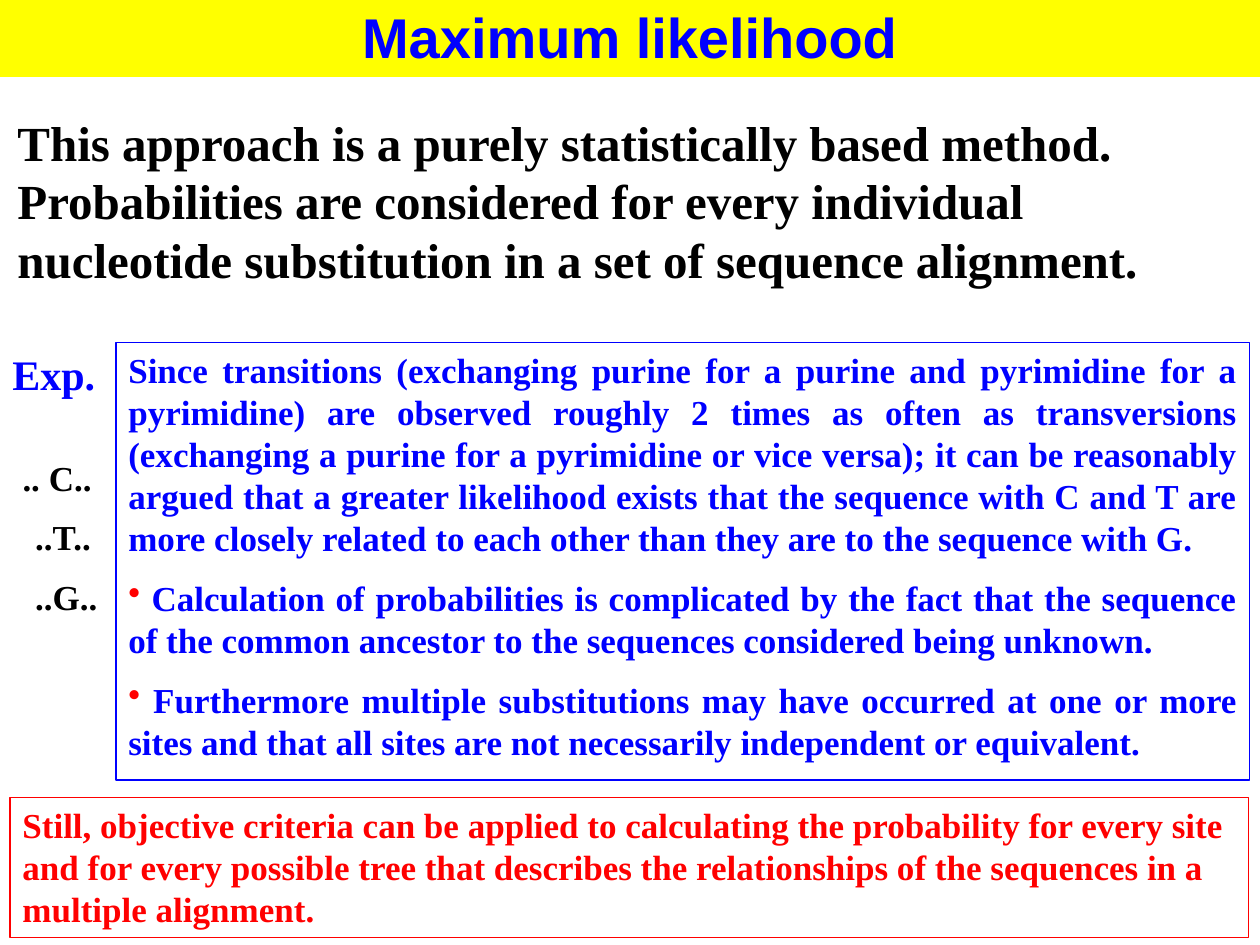
import pptx
import pptx.dml.color
import pptx.enum.text
import pptx.oxml
import pptx.oxml.ns
import pptx.util
import lxml.etree

COLORS = {"yellow": "FFFF00", "blue": "0000FF", "red": "FF0000", "black": "000000"}
ALIGN = pptx.enum.text.PP_ALIGN
ANCHOR = pptx.enum.text.MSO_ANCHOR

deck = pptx.Presentation()
deck.slide_width = pptx.util.Inches(10)
deck.slide_height = pptx.util.Inches(7.5)
column = deck.slide_width / 100
row = deck.slide_height / 75
page = deck.slides.add_slide(deck.slide_layouts[5])


def place(box, left, top, width, height, anchor=ANCHOR.TOP):
    box.left, box.width = round(left * column), round(width * column)
    box.top, box.height = round(top * row), round(height * row)
    box.text_frame.word_wrap = True
    box.text_frame.auto_size = pptx.enum.text.MSO_AUTO_SIZE.NONE
    box.text_frame.vertical_anchor = anchor


def write(box, text, size=20, color="black", font="Times New Roman",
          align=ALIGN.LEFT, indent=0, bullet=None):
    frame = box.text_frame
    para = frame.paragraphs[0]
    if para.text:
        para = frame.add_paragraph()
        para.space_before = pptx.util.Pt(size / 2)
    para.alignment = align
    properties = para._p.get_or_add_pPr()
    properties.set("marL", str(round(indent * column)))
    properties.set("indent", "0")
    if bullet:
        tint = lxml.etree.SubElement(properties, pptx.oxml.ns.qn("a:buClr"))
        lxml.etree.SubElement(tint, pptx.oxml.ns.qn("a:srgbClr"), val=COLORS[bullet])
        lxml.etree.SubElement(properties, pptx.oxml.ns.qn("a:buChar"), char="•")
    span = para.add_run()
    span.text = text
    span.font.name = font
    span.font.size = pptx.util.Pt(size)
    span.font.bold = True
    span.font.color.rgb = pptx.dml.color.RGBColor.from_string(COLORS[color])


title = page.shapes.title
place(title, 0, -0.3, 100, 6.4, ANCHOR.MIDDLE)
title.fill.solid()
title.fill.fore_color.rgb = pptx.dml.color.RGBColor.from_string(COLORS["yellow"])
write(title, "Maximum likelihood", size=32, color="blue", font="Arial", align=ALIGN.CENTER)

approach, bases, reasoning, conclusion, example = [
    page.shapes.add_textbox(0, 0, 0, 0) for _ in range(5)
]
place(approach, 0.4, 8.4, 99.2, 15.1)
place(bases, 0.4, 35.7, 8.8, 14.3)
place(reasoning, 9.2, 27.2, 90, 34.7)
place(conclusion, 0.8, 63.3, 98.3, 11.1)
place(example, 0, 27.2, 9.2, 5.1)

for box, color in [(reasoning, "blue"), (conclusion, "red")]:
    box.line.color.rgb = pptx.dml.color.RGBColor.from_string(COLORS[color])
    box.line.width = pptx.util.Pt(0.75)

write(approach, "This approach is a purely statistically based method. Probabilities are "
      "considered for every individual nucleotide substitution in a set of sequence "
      "alignment.", size=28)

for text, indent in [(".. C..", 0.4), ("..T..", 1.4), ("..G..", 1.4)]:
    write(bases, text, indent=indent)

for text, bullet in [
    ("Since transitions (exchanging purine for a purine and pyrimidine for a pyrimidine) "
     "are observed roughly 2 times as often as transversions (exchanging a purine for a "
     "pyrimidine or vice versa); it can be reasonably argued that a greater likelihood "
     "exists that the sequence with C and T are more closely related to each other than "
     "they are to the sequence with G.", None),
    (" Calculation of probabilities is complicated by the fact that the sequence of the "
     "common ancestor to the sequences considered being unknown.", "red"),
    (" Furthermore multiple substitutions may have occurred at one or more sites and that "
     "all sites are not necessarily independent or equivalent.", "red"),
]:
    write(reasoning, text, color="blue", align=ALIGN.JUSTIFY, bullet=bullet)

write(conclusion, "Still, objective criteria can be applied to calculating the probability "
      "for every site and for every possible tree that describes the relationships of the "
      "sequences in a multiple alignment.", color="red")
write(example, "Exp.", size=24, color="blue")

deck.save("out.pptx")
